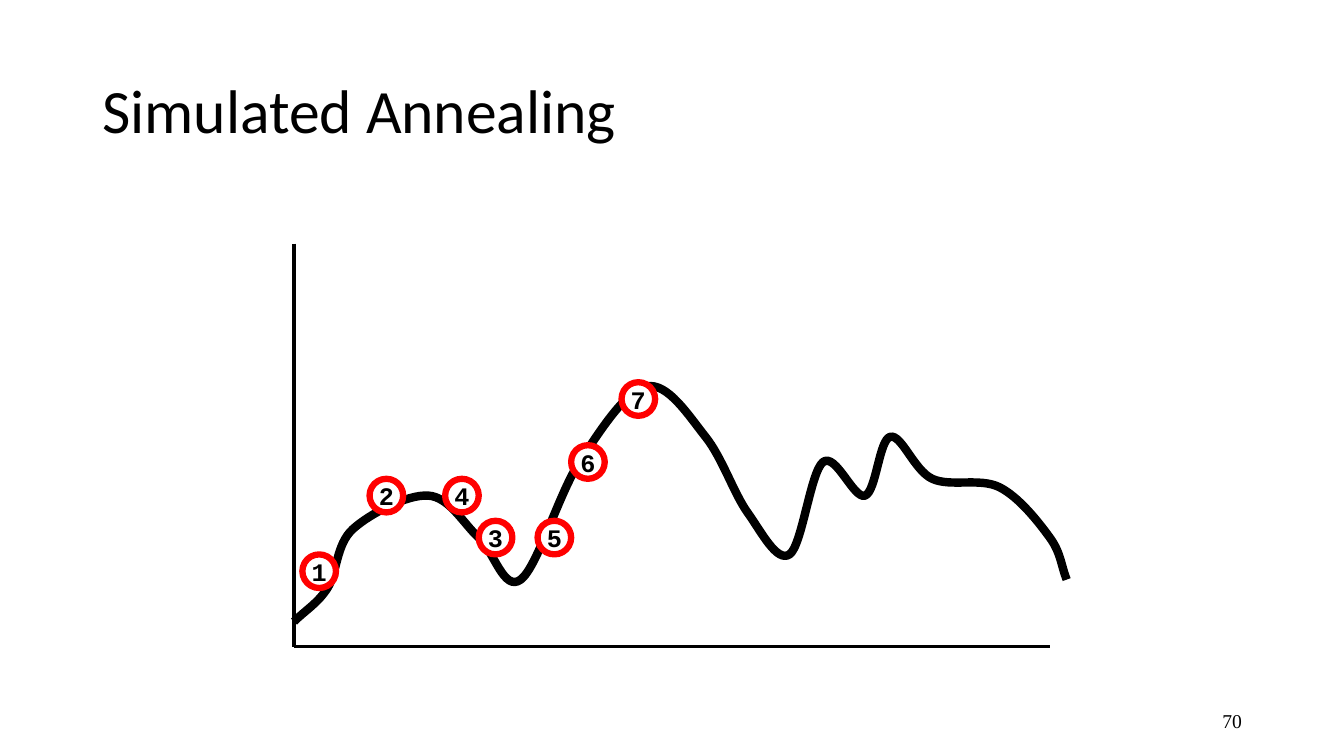
from lxml import etree
from pptx import Presentation
from pptx import util as u
from pptx.dml import color
from pptx.enum import shapes, text
from pptx.oxml import ns

BLACK, WHITE, RED = "000000", "FFFFFF", "FF0000"
CELL = 2.54 / 12
KNOTS = [(35, 74), (39, 70), (42, 63), (51, 59), (57, 64), (62, 69),
         (69, 55), (77, 46), (84, 52), (89, 61), (94, 66), (98, 55),
         (103, 59), (106, 52), (111, 57), (119, 58), (125, 64), (127, 69)]
STEPS = [(36, 66), (44, 57), (57, 62), (53, 57), (64, 62), (68, 53), (74, 45.5)]


def grid(n):
    return u.Cm(n * CELL)


def rgb(code):
    return color.RGBColor.from_string(code)


def stroke(item, code, width):
    item.line.color.rgb = rgb(code)
    item.line.width = u.Pt(width)


def write(shape, words, font, size, bold=False, align="LEFT", wrap=True, space=1.0):
    frame = shape.text_frame
    frame.word_wrap = wrap
    frame.vertical_anchor = text.MSO_ANCHOR.MIDDLE
    para = frame.paragraphs[0]
    para.alignment = getattr(text.PP_ALIGN, align)
    para.line_spacing = space
    run = para.add_run()
    run.text = words
    run.font.name = font
    run.font.size = u.Pt(size)
    run.font.bold = bold
    run.font.color.rgb = rgb(BLACK)


def label(slide, box, words, **style):
    write(slide.shapes.add_textbox(*map(u.Cm, box)), words, **style)


def axis(slide, start, end):
    ends = [grid(n) for n in (*start, *end)]
    line = slide.shapes.add_connector(shapes.MSO_CONNECTOR.STRAIGHT, *ends)
    stroke(line, BLACK, 2.25)
    etree.SubElement(line._element.spPr, ns.qn("a:effectLst"))


def mirror(a, b):
    return tuple(2 * p - q for p, q in zip(a, b))


def bend(a, b, c, d):
    first = tuple(q + (r - p) / 6 for p, q, r in zip(a, b, c))
    second = tuple(r - (s - q) / 6 for q, r, s in zip(b, c, d))
    return [first, second, c]


def curve(slide, knots):
    line = [mirror(knots[0], knots[1]), *knots, mirror(knots[-1], knots[-2])]
    points = [p for four in zip(line, line[1:], line[2:], line[3:]) for p in bend(*four)]
    pen = slide.shapes.build_freeform(*map(grid, knots[0]))
    pen.add_line_segments([(grid(x), grid(y)) for x, y in points], close=False)
    shape = pen.convert_to_shape()
    shape.shadow.inherit = False
    shape.fill.background()
    stroke(shape, BLACK, 6)
    legs = shape._element.xpath(".//a:lnTo")
    for i in range(0, len(legs), 3):
        arc = etree.Element(ns.qn("a:cubicBezTo"))
        legs[i].addprevious(arc)
        for leg in legs[i:i + 3]:
            arc.append(leg[0])
            leg.getparent().remove(leg)


def badge(slide, spot, words):
    x, y = map(grid, spot)
    disc = slide.shapes.add_shape(shapes.MSO_SHAPE.OVAL, x, y, grid(4), grid(4))
    disc.shadow.inherit = False
    disc.fill.solid()
    disc.fill.fore_color.rgb = rgb(WHITE)
    stroke(disc, RED, 4.5)
    write(disc, words, "Courier New", 18, bold=True, align="CENTER", wrap=False)


def main():
    deck = Presentation()
    deck.slide_width, deck.slide_height = u.Cm(33.87), u.Cm(19.05)
    slide = deck.slides.add_slide(deck.slide_layouts[6])
    label(slide, (23.93, 17.65, 7.62, 1.02), "70",
          font="Times New Roman", size=14, align="RIGHT")
    label(slide, (2.33, 1.02, 29.21, 3.68), "Simulated Annealing",
          font="Calibri", size=44, space=0.9)
    axis(slide, (35, 29), (35, 77))
    axis(slide, (125, 77), (35, 77))
    curve(slide, KNOTS)
    for n, spot in enumerate(STEPS, 1):
        badge(slide, spot, str(n))
    deck.save("out.pptx")


if __name__ == "__main__":
    main()
